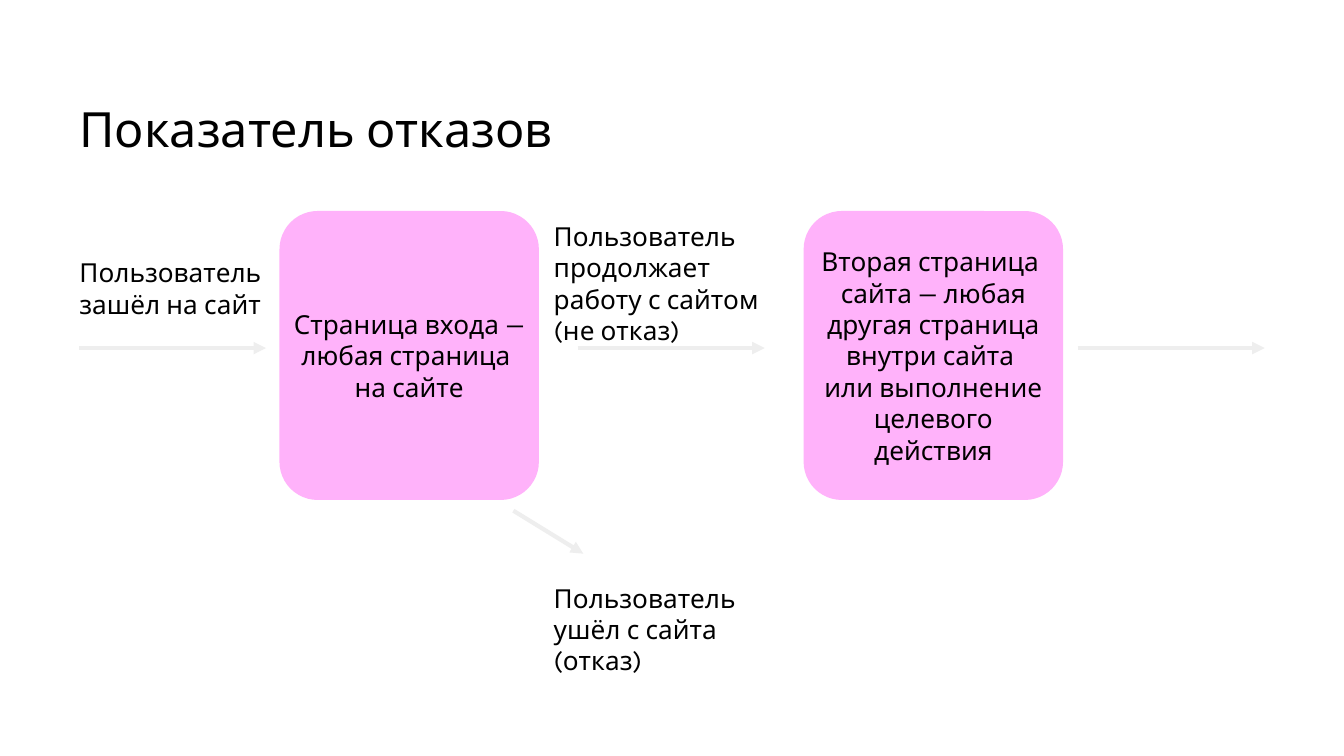
"""Build the bounce rate flow slide."""
from lxml.etree import SubElement
from pptx import Presentation
from pptx.dml.color import RGBColor
from pptx.enum.shapes import MSO_CONNECTOR, MSO_SHAPE
from pptx.enum.text import MSO_ANCHOR, PP_ALIGN
from pptx.oxml.ns import qn
from pptx.util import Inches, Pt

BLACK = RGBColor(0x00, 0x00, 0x00)
PINK = RGBColor(0xFF, 0xB2, 0xFA)
GRAY = RGBColor(0xEE, 0xEE, 0xEE)
FONT = "Karla"

TITLE = "Показатель отказов"
SLIDE_W = 10
LEFT, FLOW_Y, ARROW_W = 0.59, 2.59, 1.39
CARD_TOP, CARD_W, CARD_H = 1.57, 1.93, 2.15

CARDS = [
    (5.98, ["Вторая страница ", "сайта — любая другая страница внутри сайта ",
            "или выполнение целевого действия"]),
    (2.08, ["Страница входа — любая страница ", "на сайте"]),
]
LABELS = [
    (LEFT, 1.91, 1.4, 0.33, ["Пользователь", "зашёл на сайт"]),
    (4.12, 4.33, 1.76, 0.33, ["Пользователь", "ушёл с сайта (отказ)"]),
    (4.12, 1.64, 1.76, 0.5, ["Пользователь", "продолжает работу с сайтом (не отказ)"]),
]
ARROWS = [(x, FLOW_Y, x + ARROW_W, FLOW_Y) for x in (LEFT, 4.3, 8.02)]
ARROWS.append((3.82, 3.8, 4.34, 4.12))


def write(sp, lines, size=14, align=PP_ALIGN.LEFT, anchor=MSO_ANCHOR.TOP,
          spacing=None, top=0):
    tf = sp.text_frame
    tf.word_wrap = True
    tf.vertical_anchor = anchor
    tf.margin_left = tf.margin_right = tf.margin_bottom = 0
    tf.margin_top = Inches(top)
    for i, line in enumerate(lines):
        p = tf.add_paragraph() if i else tf.paragraphs[0]
        p.alignment = align
        p.line_spacing = spacing
        r = p.add_run()
        r.text = line
        r.font.name = FONT
        r.font.size = Pt(size)
        r.font.color.rgb = BLACK


def add_arrow(s, *ends):
    line = s.shapes.add_connector(MSO_CONNECTOR.STRAIGHT, *map(Inches, ends))
    line.line.color.rgb = GRAY
    line.line.width = Pt(2.25)
    SubElement(line.line._get_or_add_ln(), qn("a:tailEnd"), type="triangle")
    SubElement(line._element.spPr, qn("a:effectLst"))


def add_card(s, left, lines):
    sp = s.shapes.add_shape(MSO_SHAPE.ROUNDED_RECTANGLE,
                            *map(Inches, (left, CARD_TOP, CARD_W, CARD_H)))
    sp.adjustments[0] = 0.147
    sp.shadow.inherit = False
    sp.fill.solid()
    sp.fill.fore_color.rgb = PINK
    sp.line.fill.background()
    write(sp, lines, align=PP_ALIGN.CENTER, anchor=MSO_ANCHOR.MIDDLE)


def main():
    prs = Presentation()
    prs.slide_width = Inches(SLIDE_W)
    prs.slide_height = Inches(SLIDE_W * 9 / 16)
    s = prs.slides.add_slide(prs.slide_layouts[5])
    title = s.shapes.title
    title.left, title.top = Inches(LEFT), Inches(0.79)
    title.width, title.height = Inches(8.82), Inches(0.79)
    write(title, [TITLE], size=26, spacing=0.85, top=0.01)
    for ends in ARROWS:
        add_arrow(s, *ends)
    for *box, lines in LABELS:
        write(s.shapes.add_textbox(*map(Inches, box)), lines)
    for left, lines in CARDS:
        add_card(s, left, lines)
    prs.save("out.pptx")


if __name__ == "__main__":
    main()
